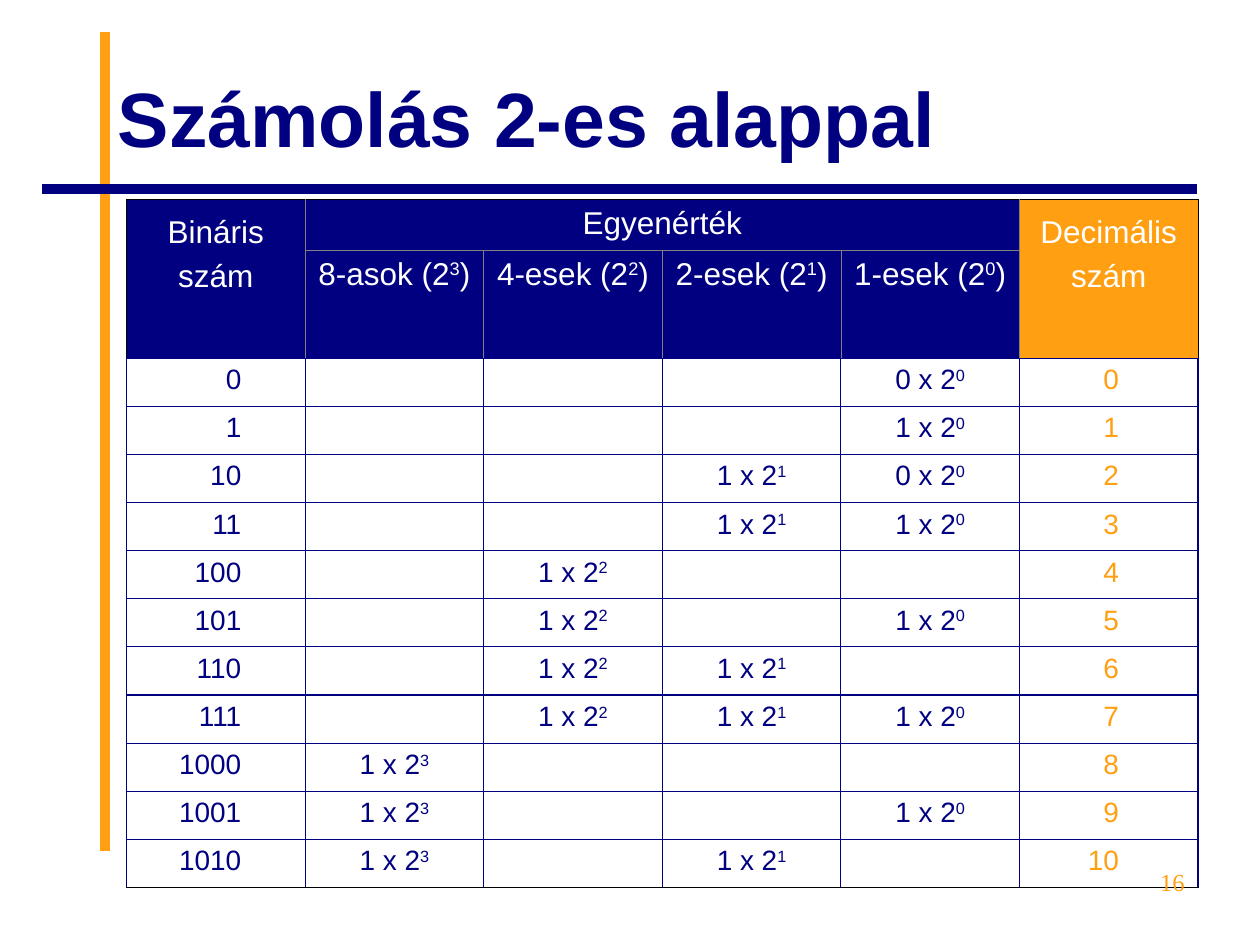
from dataclasses import dataclass, field

from lxml import etree
from pptx import Presentation
from pptx.dml.color import RGBColor
from pptx.enum.shapes import MSO_CONNECTOR
from pptx.enum.text import MSO_ANCHOR, MSO_AUTO_SIZE, PP_ALIGN
from pptx.oxml.ns import qn
from pptx.util import Cm, Pt

STRAIGHT = MSO_CONNECTOR.STRAIGHT
MIDDLE = MSO_ANCHOR.MIDDLE
NO_FIT = MSO_AUTO_SIZE.NONE
LEFT, CENTER, RIGHT = PP_ALIGN.LEFT, PP_ALIGN.CENTER, PP_ALIGN.RIGHT

COLORS = {
    "navy": "000080",
    "orange": "FF9F11",
    "white": "FFFFFF",
    "gray": "808080",
    "black": "000000",
}
BODY_EDGE = ("navy", 0.75)
FRAME_EDGE = ("black", 0.34)
HEADER_EDGE = ("gray", 0.23)


def rgb(name):
    return RGBColor.from_string(COLORS[name])


def write(paragraph, text, *, size, color, font="Arial", bold=False,
          align=LEFT, spacing=None, decimal_tab=None):
    """Write text into a paragraph; parts between ^ marks are superscript."""
    paragraph.alignment = align
    if spacing:
        paragraph.line_spacing = spacing
    if decimal_tab:
        tabs = etree.SubElement(paragraph._p.get_or_add_pPr(), qn("a:tabLst"))
        etree.SubElement(tabs, qn("a:tab"), pos=str(decimal_tab), algn="dec")
        text = "\t" + text
    for index, part in enumerate(text.split("^")):
        if not part:
            continue
        run = paragraph.add_run()
        run.text = part
        run.font.size = Pt(size)
        run.font.name = font
        run.font.bold = bold
        run.font.color.rgb = rgb(color)
        if index % 2:
            run._r.get_or_add_rPr().set("baseline", "30000")
    if not text:
        etree.SubElement(paragraph._p, qn("a:endParaRPr"), sz=str(size * 100))


@dataclass
class SlideBuilder:
    slide: object
    header: dict = field(default_factory=lambda: dict(
        size=18, color="white", align=CENTER))
    body: dict = field(default_factory=lambda: dict(size=16, color="navy"))

    def rule(self, color, x1, y1, x2, y2):
        line = self.slide.shapes.add_connector(
            STRAIGHT, Cm(x1), Cm(y1), Cm(x2), Cm(y2))
        line.line.color.rgb = rgb(color)
        line.line.width = Pt(5.5)
        etree.SubElement(line._element.spPr, qn("a:effectLst"))

    def title(self, text, left, top, width, height):
        title = self.slide.shapes.title
        title.left, title.top = Cm(left), Cm(top)
        title.width, title.height = Cm(width), Cm(height)
        frame = title.text_frame
        frame.auto_size = NO_FIT
        frame.vertical_anchor = MIDDLE
        write(frame.paragraphs[0], text, size=44, color="navy", bold=True)

    def page_number(self, text, left, top, width, height):
        box = self.slide.shapes.add_textbox(
            Cm(left), Cm(top), Cm(width), Cm(height))
        box.text_frame.word_wrap = True
        write(box.text_frame.paragraphs[0], text, size=14, color="orange",
              font="Times New Roman", align=RIGHT)

    def table(self, left, top, column_width, row_heights, columns):
        table = self.slide.shapes.add_table(
            len(row_heights), columns, Cm(left), Cm(top),
            Cm(column_width * columns), Cm(sum(row_heights))).table
        table.first_row = table.horz_banding = False
        for column in table.columns:
            column.width = Cm(column_width)
        for row, height in zip(table.rows, row_heights):
            row.height = Cm(height)
        return table

    def cell(self, cell, text, fill=None, **style):
        if fill:
            cell.fill.solid()
            cell.fill.fore_color.rgb = rgb(fill)
        else:
            cell.fill.background()
        write(cell.text_frame.paragraphs[0], text, **style)

    def borders(self, cell, edges):
        properties = cell._tc.get_or_add_tcPr()
        for side, (color, width) in zip("LRTB", edges):
            line = etree.SubElement(
                properties, qn(f"a:ln{side}"), w=str(Pt(width)))
            fill = etree.SubElement(line, qn("a:solidFill"))
            etree.SubElement(fill, qn("a:srgbClr"), val=COLORS[color])


def cell_edges(row, column, last_row, last_column):
    """Left, right, top and bottom edge of a cell."""
    if row > 1:
        bottom = FRAME_EDGE if row == last_row else BODY_EDGE
        return BODY_EDGE, BODY_EDGE, BODY_EDGE, bottom
    outer_column = column in (0, last_column)
    return (FRAME_EDGE if column == 0 else HEADER_EDGE,
            FRAME_EDGE if column == last_column else HEADER_EDGE,
            FRAME_EDGE if row == 0 else HEADER_EDGE,
            BODY_EDGE if row == 1 or outer_column else HEADER_EDGE)


def place_value(number, power):
    """Term of a number at a power of two, empty where none is listed."""
    digit = number >> power & 1
    shown_zero = power == 0 and number in (0, 2)
    return f"{digit} x 2^{power}^" if digit or shown_zero else ""


def main():
    presentation = Presentation()
    presentation.slide_width, presentation.slide_height = Cm(25.4), Cm(19.05)
    builder = SlideBuilder(
        presentation.slides.add_slide(presentation.slide_layouts[5]))

    # Title and the crossing rules
    builder.rule("orange", 2.12, 17.15, 2.12, 0.64)
    builder.rule("navy", 24.13, 3.81, 0.85, 3.81)
    builder.title("Számolás 2-es alappal", 2.12, 0.76, 22.01, 3.18)

    # Table grid
    numbers = range(11)
    powers = (3, 2, 1, 0)
    last_column = len(powers) + 1
    row_heights = [1.03, 2.17] + [0.97] * len(numbers)
    last_row = len(row_heights) - 1
    table = builder.table(2.55, 4.02, 3.6, row_heights, last_column + 1)
    for row in range(last_row + 1):
        for column in range(last_column + 1):
            builder.borders(table.cell(row, column),
                            cell_edges(row, column, last_row, last_column))

    # Header
    for column, text, fill in ((0, "Bináris szám", "navy"),
                               (last_column, "Decimális szám", "orange")):
        table.cell(0, column).merge(table.cell(1, column))
        builder.cell(table.cell(0, column), text, fill,
                     spacing=1.25, **builder.header)
    table.cell(0, 1).merge(table.cell(0, len(powers)))
    builder.cell(table.cell(0, 1), "Egyenérték", "navy", **builder.header)
    for column, power in enumerate(powers, 1):
        suffix = "asok" if power == 3 else "esek"
        builder.cell(table.cell(1, column),
                     f"{2 ** power}-{suffix} (2^{power}^)", "navy",
                     **builder.header)

    # Numbers with their place values
    decimal_style = {**builder.body, "color": "orange"}
    for row, number in enumerate(numbers, 2):
        builder.cell(table.cell(row, 0), f"{number:b}",
                     decimal_tab=Cm(2.06), **builder.body)
        for column, power in enumerate(powers, 1):
            builder.cell(table.cell(row, column), place_value(number, power),
                         align=CENTER, **builder.body)
        builder.cell(table.cell(row, last_column), str(number),
                     decimal_tab=Cm(1.75), **decimal_style)

    # Page number
    builder.page_number("16", 18.2, 17.35, 5.93, 1.32)

    presentation.save("out.pptx")


if __name__ == "__main__":
    main()
